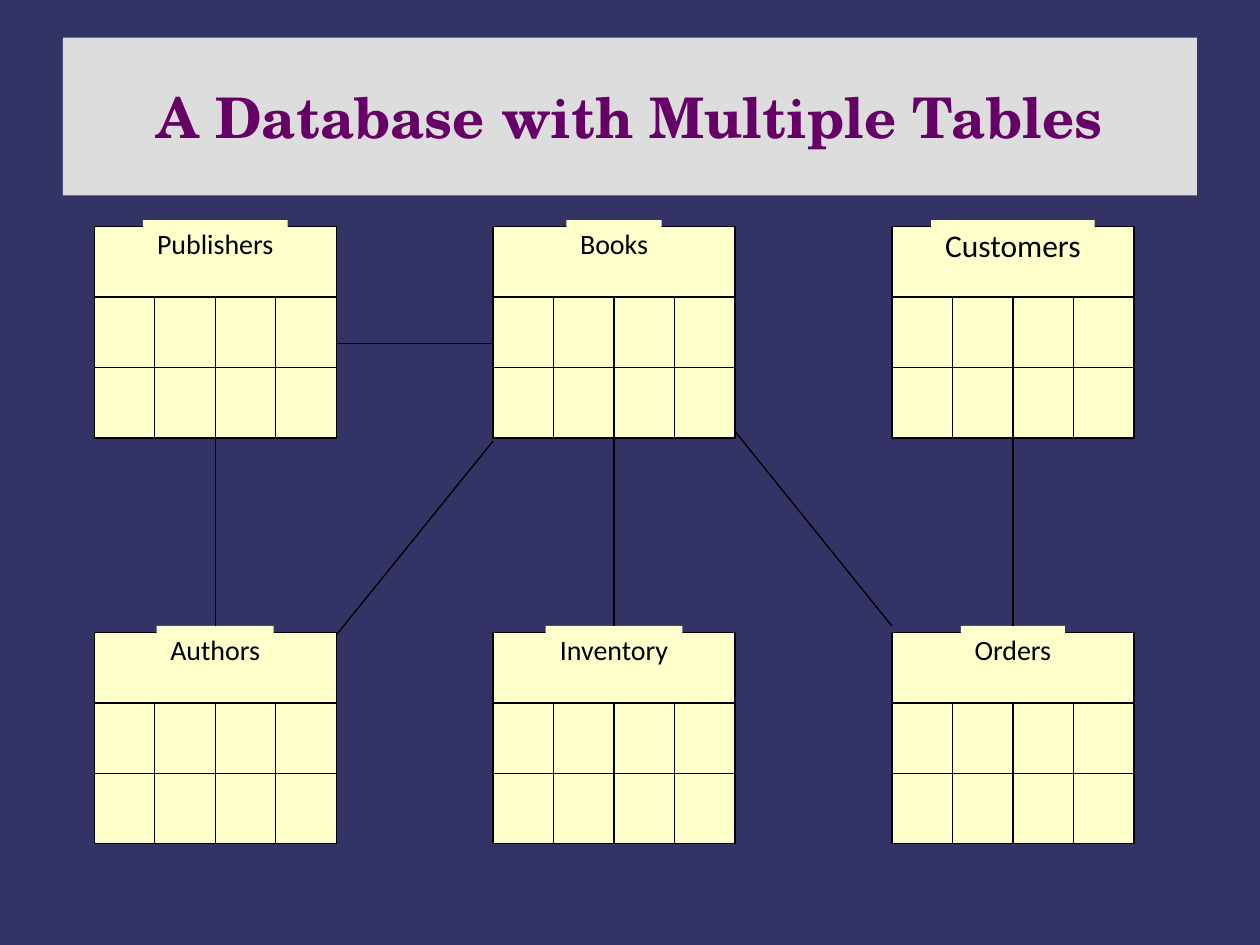
"""Build a slide of six linked database tables."""
from itertools import product

from lxml import etree
from pptx import Presentation
from pptx.dml.color import RGBColor
from pptx.enum.shapes import MSO_CONNECTOR, MSO_SHAPE
from pptx.enum.text import MSO_ANCHOR, MSO_AUTO_SIZE, PP_ALIGN
from pptx.oxml.ns import qn
from pptx.util import Cm, Pt

RECT = MSO_SHAPE.RECTANGLE
LINE = MSO_CONNECTOR.STRAIGHT
MIDDLE, TOP = MSO_ANCHOR.MIDDLE, MSO_ANCHOR.TOP
CENTER = PP_ALIGN.CENTER
GROW = MSO_AUTO_SIZE.SHAPE_TO_FIT_TEXT

COLORS = {"back": "333366", "banner": "DDDDDD", "title": "660066",
          "table": "FFFFCC", "ink": "000000"}
TITLE = "A Database with Multiple Tables"
TABLES = [
    [("Publishers", 2.92, 0.94, 16), ("Books", 1.92, 0.94, 16),
     ("Customers", 3.3, 1.02, 18)],
    [("Authors", 2.36, 0.94, 16), ("Inventory", 2.76, 0.94, 16),
     ("Orders", 2.1, 0.94, 16)],
]
LEFT, UPPER = 1.9, 4.57
STEP_X, STEP_Y = 8.04, 8.18
CELL_W, CELL_H = 1.22, 1.42
COLS, ROWS = 4, 3
WIDE, HIGH = COLS * CELL_W, ROWS * CELL_H
RISE = 0.13
LOW, HEAD = UPPER + HIGH - RISE, UPPER + STEP_Y - RISE
SIDE = 6.93
LINKS = [
    ((0, 0.5, LOW), (0, 0.5, HEAD)),
    ((0, 1, SIDE), (1, 0, SIDE)),
    ((0, 1, 12.8), (1, 0, 8.89)),
    ((1, 0.5, LOW), (1, 0.5, HEAD)),
    ((2, 0, HEAD), (1, 1, LOW)),
    ((2, 0.5, LOW), (2, 0.5, HEAD)),
]


def color(key):
    return RGBColor.from_string(COLORS[key])


def box(shapes, x, y, w, h, fill, edge=True):
    shape = shapes.add_shape(RECT, Cm(x), Cm(y), Cm(w), Cm(h))
    shape.shadow.inherit = False
    shape.fill.solid()
    shape.fill.fore_color.rgb = color(fill)
    if edge:
        shape.line.color.rgb = color("ink")
        shape.line.width = Pt(0.75)
    else:
        shape.line.fill.background()
    return shape


def write(shape, text, face, size, ink, anchor, bold=False):
    frame = shape.text_frame
    frame.vertical_anchor = anchor
    para = frame.paragraphs[0]
    para.text = text
    para.alignment = CENTER
    font = para.font
    font.name, font.size, font.bold = face, Pt(size), bold
    font.color.rgb = color(ink)
    return frame


def grid(slide, x, y, name, wide, high, size):
    shapes = slide.shapes.add_group_shape().shapes
    box(shapes, x, y, WIDE, HIGH, "table")
    for row, col in product(range(1, ROWS), range(COLS)):
        box(shapes, x + col * CELL_W, y + row * CELL_H,
            CELL_W, CELL_H, "table")
    label = box(shapes, x + (WIDE - wide) / 2, y - RISE,
                wide, high, "table", False)
    frame = write(label, name, "Calibri", size, "ink", TOP)
    frame.word_wrap = False
    frame.auto_size = GROW


def link(shapes, start, end):
    ends = [(Cm(LEFT + col * STEP_X + part * WIDE), Cm(y))
            for col, part, y in (start, end)]
    line = shapes.add_connector(LINE, *ends[0], *ends[1])
    line.line.color.rgb = color("ink")
    line.line.width = Pt(0.75)
    etree.SubElement(line._element.spPr, qn("a:effectLst"))


def main():
    deck = Presentation()
    deck.slide_width, deck.slide_height = Cm(25.4), Cm(19.05)
    slide = deck.slides.add_slide(deck.slide_layouts[6])
    slide.background.fill.solid()
    slide.background.fill.fore_color.rgb = color("back")
    banner = box(slide.shapes, 1.27, 0.76, 22.86, 3.18, "banner", False)
    write(banner, TITLE, "TeX Gyre Schola", 32, "title", MIDDLE, True)
    for row, tables in enumerate(TABLES):
        for col, table in enumerate(tables):
            grid(slide, LEFT + col * STEP_X, UPPER + row * STEP_Y, *table)
    lines = slide.shapes.add_group_shape().shapes
    for start, end in LINKS:
        link(lines, start, end)
    deck.save("out.pptx")


if __name__ == "__main__":
    main()
